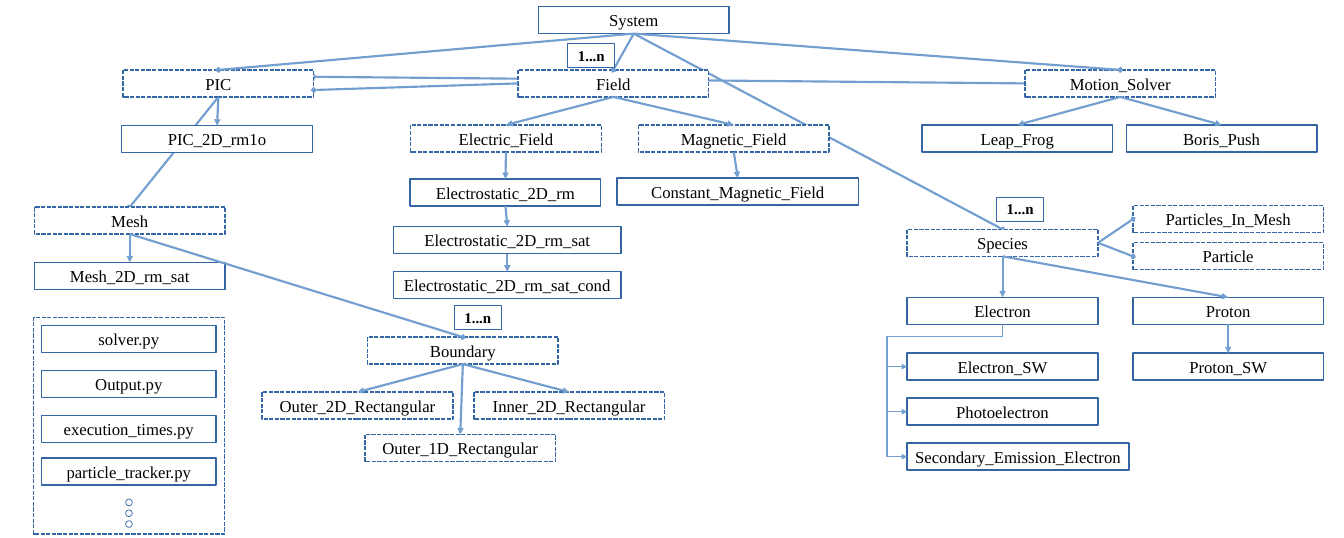
"""Draw the class diagram of a particle simulation code."""
from lxml import etree
from pptx import Presentation, util as u
from pptx.dml.color import RGBColor
from pptx.enum import dml, shapes, text
from pptx.oxml import ns

NAVY = RGBColor(0x34, 0x65, 0xA4)
BLUE = RGBColor(0x72, 0x9F, 0xCF)
WHITE = RGBColor(0xFF, 0xFF, 0xFF)
BLACK = RGBColor(0, 0, 0)
FONT = "Times New Roman"
WIDE, HIGH = 7.21, 1.02
TOP, LEFT, BASE = 0, 1, 2
RECT = shapes.MSO_SHAPE.RECTANGLE
OVAL = shapes.MSO_SHAPE.OVAL

ABSTRACT = [
    ("PIC", 4.65, 2.64), ("Field", 19.58, 2.64), ("Motion_Solver", 38.74, 2.64),
    ("Electric_Field", 15.52, 4.72), ("Magnetic_Field", 24.13, 4.72),
    ("Mesh", 1.3, 7.82), ("Species", 34.29, 8.66),
    ("Particles_In_Mesh", 42.82, 7.77), ("Particle", 42.82, 9.17),
    ("Boundary", 13.89, 12.73), ("Outer_2D_Rectangular", 9.91, 14.81),
    ("Inner_2D_Rectangular", 17.91, 14.81), ("Outer_1D_Rectangular", 13.79, 16.41),
]
CONCRETE = [
    ("System", 20.35, 0.25), ("PIC_2D_rm1o", 4.6, 4.75), ("Mesh_2D_rm_sat", 1.3, 9.91),
    ("Electrostatic_2D_rm", 15.5, 6.76), ("Electrostatic_2D_rm_sat", 14.88, 8.56, 8.59),
    ("Electrostatic_2D_rm_sat_cond", 14.88, 10.26, 8.59),
    ("Constant_Magnetic_Field", 23.32, 6.73, 9.14),
    ("Leap_Frog", 34.85, 4.72), ("Boris_Push", 42.57, 4.72),
    ("Electron", 34.29, 11.23), ("Proton", 42.82, 11.23), ("Proton_SW", 42.82, 13.34),
]
KINDS = [("Electron_SW", WIDE), ("Photoelectron", WIDE), ("Secondary_Emission_Electron", 8.38)]
OWNS = [("System", "PIC"), ("System", "Field"), ("System", "Motion_Solver"), ("Mesh", "Boundary")]
BEHIND = [("PIC", "Mesh"), ("System", "Species")]
DERIVES = [
    ("PIC", "PIC_2D_rm1o"), ("Mesh", "Mesh_2D_rm_sat"),
    ("Field", "Electric_Field"), ("Field", "Magnetic_Field"),
    ("Electric_Field", "Electrostatic_2D_rm"),
    ("Electrostatic_2D_rm", "Electrostatic_2D_rm_sat"),
    ("Electrostatic_2D_rm_sat", "Electrostatic_2D_rm_sat_cond"),
    ("Magnetic_Field", "Constant_Magnetic_Field"),
    ("Motion_Solver", "Leap_Frog"), ("Motion_Solver", "Boris_Push"),
    ("Boundary", "Outer_2D_Rectangular"), ("Boundary", "Inner_2D_Rectangular"),
    ("Boundary", "Outer_1D_Rectangular"),
    ("Species", "Electron"), ("Species", "Proton"), ("Proton", "Proton_SW"),
]
SCRIPTS = [("solver.py", 12.29), ("Output.py", 14), ("execution_times.py", 15.7),
           ("particle_tracker.py", 17.3)]
TAGS = [(21.46, 1.65), (37.67, 7.44), (17.17, 11.53)]


class Chart:
    """Holds the style, the slide's shapes and the named class boxes."""

    def __init__(self, slide):
        self.tree = slide.shapes
        self.nodes = {}

    def shape(self, x, y, wide, high, form=RECT, weight=1.5, dash=False):
        item = self.tree.add_shape(form, u.Cm(x), u.Cm(y), u.Cm(wide), u.Cm(high))
        item.shadow.inherit = False
        item.fill.solid()
        item.fill.fore_color.rgb = WHITE
        item.line.color.rgb = NAVY
        item.line.width = u.Pt(weight)
        if dash:
            item.line.dash_style = dml.MSO_LINE.SQUARE_DOT
        return item

    def label(self, item, words, size=17.9, bold=False):
        frame = item.text_frame
        frame.word_wrap = False
        frame.vertical_anchor = text.MSO_ANCHOR.MIDDLE
        frame.margin_top = frame.margin_bottom = u.Cm(0.13)
        para = frame.paragraphs[0]
        para.text = words
        para.alignment = text.PP_ALIGN.CENTER
        para.font.name = FONT
        para.font.size = u.Pt(size)
        para.font.bold = bold
        para.font.color.rgb = BLACK

    def node(self, name, x, y, wide=WIDE, dash=False):
        self.nodes[name] = self.shape(x, y, wide, HIGH, dash=dash)
        self.label(self.nodes[name], name)

    def tag(self, x, y):
        self.label(self.shape(x, y, 1.78, 0.91, weight=0.79), "1...n", 16, True)

    def arrow(self, item, head, weight):
        item.line.color.rgb = BLUE
        item.line.width = u.Pt(weight)
        props = item.element.spPr
        etree.SubElement(props.find(ns.qn("a:ln")), ns.qn("a:tailEnd"), type=head)
        if props.find(ns.qn("a:effectLst")) is None:
            etree.SubElement(props, ns.qn("a:effectLst"))

    def link(self, start, side, head, goal=None, into=TOP, spot=(0, 0), back=False):
        x, y = (u.Cm(v) for v in spot)
        line = self.tree.add_connector(shapes.MSO_CONNECTOR.STRAIGHT, x, y, x, y)
        line.begin_connect(self.nodes[start], side)
        if goal:
            line.end_connect(self.nodes[goal], into)
        self.arrow(line, head, 2.3)
        if back:
            self.tree.element.insert(2, line.element)

    def bend(self, *spots):
        first, *rest = [(u.Cm(x), u.Cm(y)) for x, y in spots]
        pen = self.tree.build_freeform(*first)
        pen.add_line_segments(rest, close=False)
        item = pen.convert_to_shape()
        item.shadow.inherit = False
        item.fill.background()
        self.arrow(item, "triangle", 1.5)

    def group(self):
        self.tree = self.tree.add_group_shape().shapes


def main():
    deck = Presentation()
    deck.slide_width, deck.slide_height = u.Cm(50.8), u.Cm(20.32)
    chart = Chart(deck.slides.add_slide(deck.slide_layouts[6]))

    for spot in ABSTRACT:
        chart.node(*spot, dash=True)
    for spot in CONCRETE:
        chart.node(*spot)
    for i, (name, wide) in enumerate(KINDS):
        y = 13.34 + 1.7 * i
        chart.node(name, 34.29, y, wide)
        mid = y + HIGH / 2
        chart.bend((37.9, 12.24), (37.9, 12.7), (33.53, 12.7), (33.53, mid), (34.29, mid))

    for start, goal in OWNS:
        chart.link(start, BASE, "diamond", goal)
    for start, goal in BEHIND:
        chart.link(start, BASE, "diamond", goal, back=True)
    for goal in ("Particles_In_Mesh", "Particle"):
        chart.link("Species", 3, "diamond", goal, LEFT)
    chart.link("Motion_Solver", LEFT, "diamond", spot=(11.86, 2.9), back=True)
    chart.link("Field", LEFT, "diamond", spot=(11.86, 3.4))
    for start, goal in DERIVES:
        chart.link(start, BASE, "triangle", goal)
    for spot in TAGS:
        chart.tag(*spot)

    chart.group()
    chart.shape(1.27, 11.99, WIDE, 8.18, dash=True)
    for name, y in SCRIPTS:
        chart.node(name, 1.57, y, 6.6)
    for i in range(3):
        chart.shape(4.75, 18.85 + 0.41 * i, 0.25, 0.25, OVAL, 0.79)
    deck.save("out.pptx")


if __name__ == "__main__":
    main()
